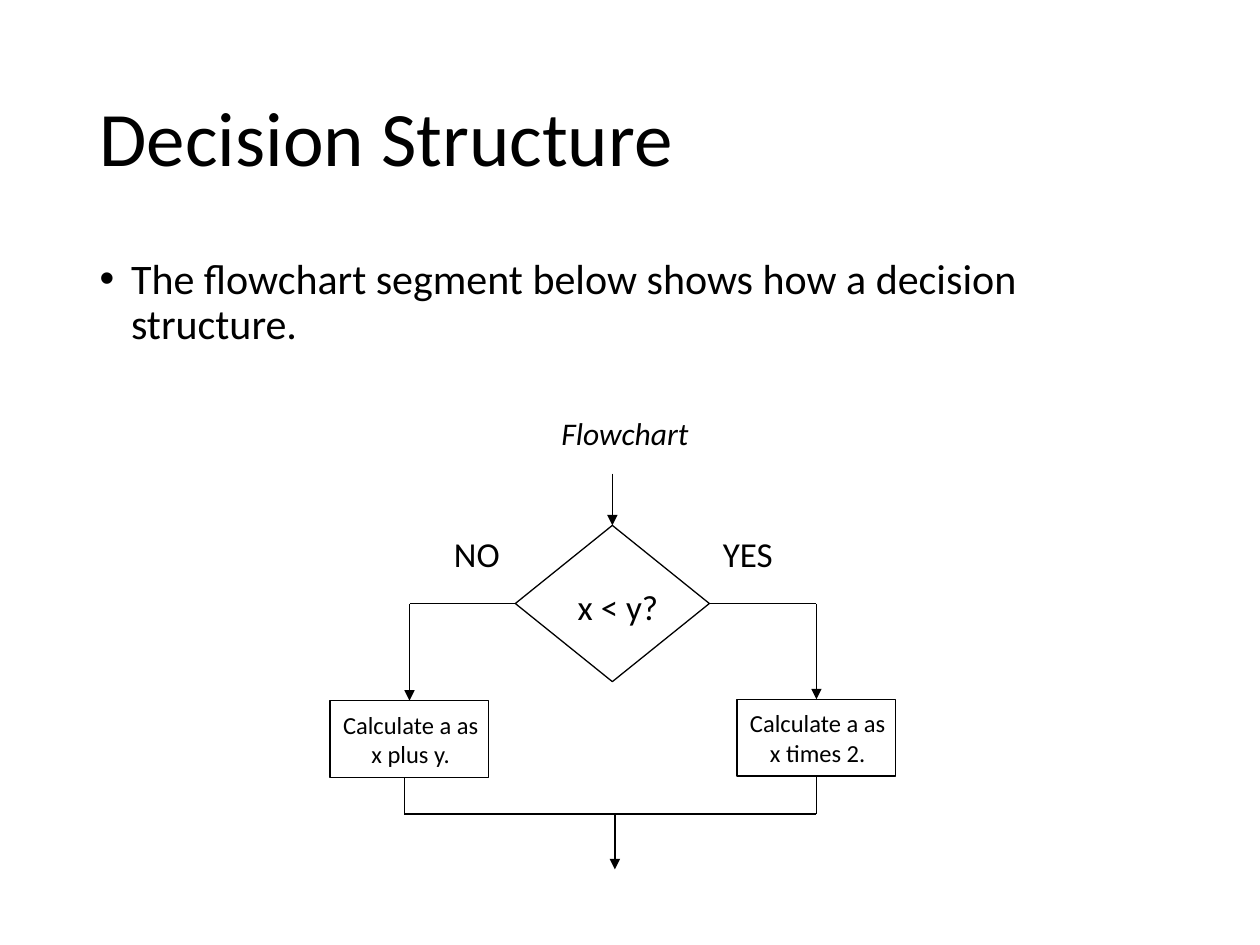
import pptx
import pptx.util
import pptx.dml.color
import pptx.enum.shapes
import pptx.enum.text
import pptx.oxml.ns
import lxml.etree

Inches, Pt = pptx.util.Inches, pptx.util.Pt
SHAPES = pptx.enum.shapes.MSO_SHAPE
ALIGN = pptx.enum.text.PP_ALIGN
ANCHOR = pptx.enum.text.MSO_ANCHOR

COLORS = {"ink": "000000"}
FONT = "Calibri"
TOP, LEFT, BOTTOM, RIGHT = range(4)

TITLE = "Decision Structure"
INTRO = "The flowchart segment below shows how a decision structure."

# name: (preset, text, size, box, insets left/top/right/bottom, wrap)
STEPS = {
    "decision": (SHAPES.FLOWCHART_DECISION, "x < y?", 20,
                 (4.09, 4.17, 1.54, 1.24), (0.09, 0.04, 0, 0), False),
    "no": (SHAPES.RECTANGLE, "Calculate a as x plus y.", 14,
           (2.62, 5.56, 1.26, 0.61), (0.08, 0.05, 0.06, 0.05), True),
    "yes": (SHAPES.RECTANGLE, "Calculate a as x times 2.", 14,
            (5.85, 5.55, 1.26, 0.61), (0.08, 0.05, 0.06, 0.05), True),
}

# text, size, italic, box
LABELS = [
    ("YES", 20, False, (5.52, 4.18, 0.83, 0.43)),
    ("NO", 20, False, (3.37, 4.18, 0.83, 0.43)),
    ("Flowchart", 18, True, (4.09, 3.24, 1.74, 0.5)),
]

BRANCH_Y, MERGE_Y = 4.79, 6.46
NO_X, YES_X = 3.25, 6.48
NO_EXIT_X, MERGE_X = 3.21, 4.88

# start, end, arrowhead; an end is a point or a (step name, side) pair
FLOWS = [
    ((4.86, 3.76), ("decision", TOP), True),
    (("decision", LEFT), (NO_X, BRANCH_Y), False),
    ((NO_X, BRANCH_Y), ("no", TOP), True),
    (("decision", RIGHT), (YES_X, BRANCH_Y), False),
    ((YES_X, BRANCH_Y), ("yes", TOP), True),
    ((NO_EXIT_X, 6.17), (NO_EXIT_X, MERGE_Y), False),
    (("yes", BOTTOM), (YES_X, MERGE_Y), False),
    ((YES_X, MERGE_Y), (NO_EXIT_X, MERGE_Y), False),
    ((MERGE_X, MERGE_Y), (MERGE_X, 6.9), True),
]


def ink():
    return pptx.dml.color.RGBColor.from_string(COLORS["ink"])


def place(shape, box):
    shape.left, shape.top, shape.width, shape.height = map(Inches, box)


def write(shape, text, size, align, italic=False):
    shape.text_frame.text = text
    paragraph = shape.text_frame.paragraphs[0]
    paragraph.alignment = align
    font = paragraph.font
    font.name, font.size, font.italic = FONT, Pt(size), italic
    font.color.rgb = ink()
    return paragraph


def outline(shape):
    shape.line.color.rgb = ink()
    shape.line.width = Pt(0.75)


def add_step(slide, preset, text, size, box, insets, wrap):
    step = slide.shapes.add_shape(preset, *map(Inches, box))
    step.shadow.inherit = False
    step.fill.background()
    outline(step)
    write(step, text, size, ALIGN.CENTER)
    frame = step.text_frame
    frame.word_wrap = wrap
    frame.vertical_anchor = ANCHOR.MIDDLE
    (frame.margin_left, frame.margin_top,
     frame.margin_right, frame.margin_bottom) = map(Inches, insets)
    return step


def add_flow(slide, steps, start, end, arrowhead):
    flow = slide.shapes.add_connector(
        pptx.enum.shapes.MSO_CONNECTOR.STRAIGHT, 0, 0, 0, 0)
    if start[0] in steps:
        flow.begin_connect(steps[start[0]], start[1])
    else:
        flow.begin_x, flow.begin_y = map(Inches, start)
    if end[0] in steps:
        flow.end_connect(steps[end[0]], end[1])
    else:
        flow.end_x, flow.end_y = map(Inches, end)
    outline(flow)
    qn = pptx.oxml.ns.qn
    if arrowhead:
        line = flow.line._get_or_add_ln()
        lxml.etree.SubElement(line, qn("a:tailEnd"), type="triangle")
    lxml.etree.SubElement(flow._element.spPr, qn("a:effectLst"))


def main():
    deck = pptx.Presentation()
    deck.slide_width, deck.slide_height = Inches(10), Inches(7.5)
    slide = deck.slides.add_slide(deck.slide_layouts[1])

    title, body = slide.placeholders
    place(title, (0.69, 0.4, 8.62, 1.45))
    title.text_frame.vertical_anchor = ANCHOR.MIDDLE
    write(title, TITLE, 44, ALIGN.LEFT).line_spacing = 0.9

    place(body, (0.69, 2, 8.62, 4.76))
    intro = write(body, INTRO, 24, ALIGN.LEFT)
    intro.line_spacing, intro.space_before = 0.9, Pt(10)
    properties = intro._p.get_or_add_pPr()
    properties.set("marL", str(Inches(0.25)))
    properties.set("indent", str(-Inches(0.25)))

    steps = {name: add_step(slide, *step) for name, step in STEPS.items()}
    for flow in FLOWS:
        add_flow(slide, steps, *flow)
    for text, size, italic, box in LABELS:
        label = slide.shapes.add_textbox(*map(Inches, box))
        label.text_frame.word_wrap = True
        write(label, text, size, ALIGN.CENTER, italic)

    deck.save("out.pptx")


if __name__ == "__main__":
    main()
